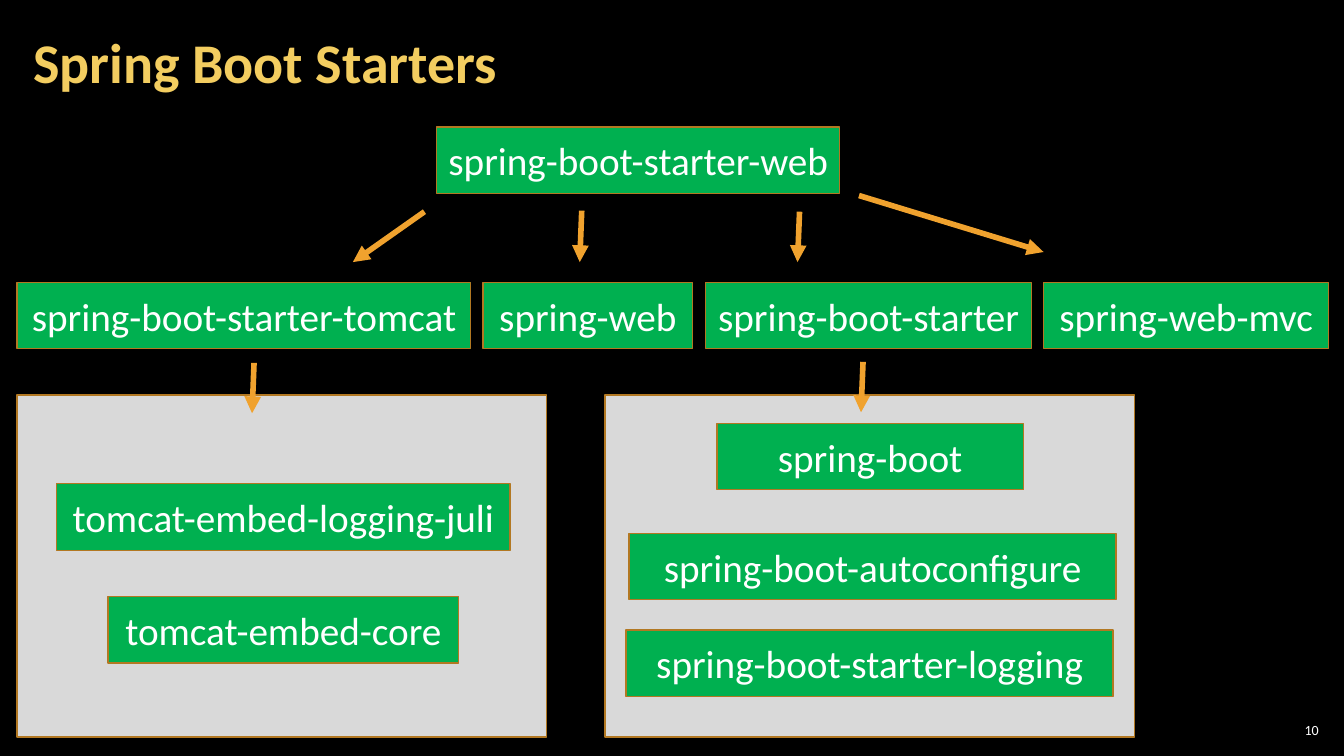
import pptx
import pptx.util
from pptx.dml.color import RGBColor
from pptx.enum.shapes import MSO_CONNECTOR, MSO_SHAPE
from pptx.enum.text import MSO_ANCHOR, PP_ALIGN
from pptx.oxml.ns import qn
from lxml import etree

TITLE = "Spring Boot Starters"
PAGE_NUMBER = "10"
# Each row of dependencies: top, then (name, left, width) of its boxes
ROWS = [
    (1.26, [("spring-boot-starter-web", 4.33, 4)]),
    (2.8, [("spring-boot-starter-tomcat", 0.17, 4.5), ("spring-web", 4.79, 2.08),
           ("spring-boot-starter", 7, 3.23), ("spring-web-mvc", 10.35, 2.83)]),
    (4.2, [("spring-boot", 7.11, 3.04)]),
    (4.8, [("tomcat-embed-logging-juli", 0.56, 4.5)]),
    (5.29, [("spring-boot-autoconfigure", 6.24, 4.83)]),
    (5.92, [("tomcat-embed-core", 1.07, 3.48)]),
    (6.25, [("spring-boot-starter-logging", 6.21, 4.83)]),
]
BOX_HEIGHT = 0.66
PANEL_LEFTS = [0.17, 6]
PANEL_TOP, PANEL_WIDTH, PANEL_HEIGHT = 3.92, 5.25, 3.39
# Start x, start y, end x, end y
ARROWS = [
    (4.21, 2.1, 3.5, 2.6),
    (5.77, 2.09, 5.75, 2.6),
    (7.93, 2.1, 7.91, 2.6),
    (8.52, 1.94, 10.35, 2.5),
    (2.52, 3.6, 2.5, 4.1),
    (8.56, 3.59, 8.54, 4.09),
]
COLOURS = {"background": "000000", "title": "F3CD60", "text": "FFFFFF",
           "box": "00B050", "panel": "D9D9D9", "border": "B27822", "arrow": "F0A22E"}
FONT = "Calibri"


def colour(name):
    return RGBColor.from_string(COLOURS[name])


def inches(*lengths):
    return [pptx.util.Inches(length) for length in lengths]


def write(shape, text, size, ink, align, bold=False):
    frame = shape.text_frame
    frame.vertical_anchor = MSO_ANCHOR.MIDDLE
    para = frame.paragraphs[0]
    para.alignment = align
    span = para.add_run()
    span.text = text
    span.font.name = FONT
    span.font.size = pptx.util.Pt(size)
    span.font.bold = bold
    span.font.color.rgb = colour(ink)
    return para


def add_rectangle(page, fill, *place):
    box = page.shapes.add_shape(MSO_SHAPE.RECTANGLE, *inches(*place))
    box.shadow.inherit = False
    box.fill.solid()
    box.fill.fore_color.rgb = colour(fill)
    box.line.color.rgb = colour("border")
    box.line.width = pptx.util.Pt(1)
    return box


def add_label(page, place, side_inset, *style):
    """Add a text box with narrow insets and return its paragraph."""
    box = page.shapes.add_textbox(*inches(*place))
    frame = box.text_frame
    frame.word_wrap = True
    frame.margin_left, frame.margin_right = inches(side_inset, side_inset)
    frame.margin_top, frame.margin_bottom = inches(0.04, 0.04)
    return write(box, *style)


def add_arrow(page, *ends):
    arrow = page.shapes.add_connector(MSO_CONNECTOR.STRAIGHT, *inches(*ends))
    arrow.line.color.rgb = colour("arrow")
    arrow.line.width = pptx.util.Pt(4)
    etree.SubElement(arrow.line._get_or_add_ln(), qn("a:tailEnd"), type="triangle")
    etree.SubElement(arrow._element.spPr, qn("a:effectLst"))


def main():
    deck = pptx.Presentation()
    deck.slide_width, deck.slide_height = inches(13.33, 7.5)
    page = deck.slides.add_slide(deck.slide_layouts[6])
    page.background.fill.solid()
    page.background.fill.fore_color.rgb = colour("background")

    for left in PANEL_LEFTS:
        add_rectangle(page, "panel", left, PANEL_TOP, PANEL_WIDTH, PANEL_HEIGHT)
    add_label(page, (12.65, 7.14, 0.47, 0.21), 0.04,
              PAGE_NUMBER, 10, "text", PP_ALIGN.RIGHT)
    heading = add_label(page, (0.21, 0.04, 10.47, 1.21), 0.12,
                        TITLE, 40, "title", PP_ALIGN.LEFT, True)
    heading.line_spacing = 0.9

    for top, boxes in ROWS:
        for name, left, width in boxes:
            box = add_rectangle(page, "box", left, top, width, BOX_HEIGHT)
            box.text_frame.word_wrap = False
            write(box, name, 28, "text", PP_ALIGN.CENTER)
    for ends in ARROWS:
        add_arrow(page, *ends)
    deck.save("out.pptx")


if __name__ == "__main__":
    main()
